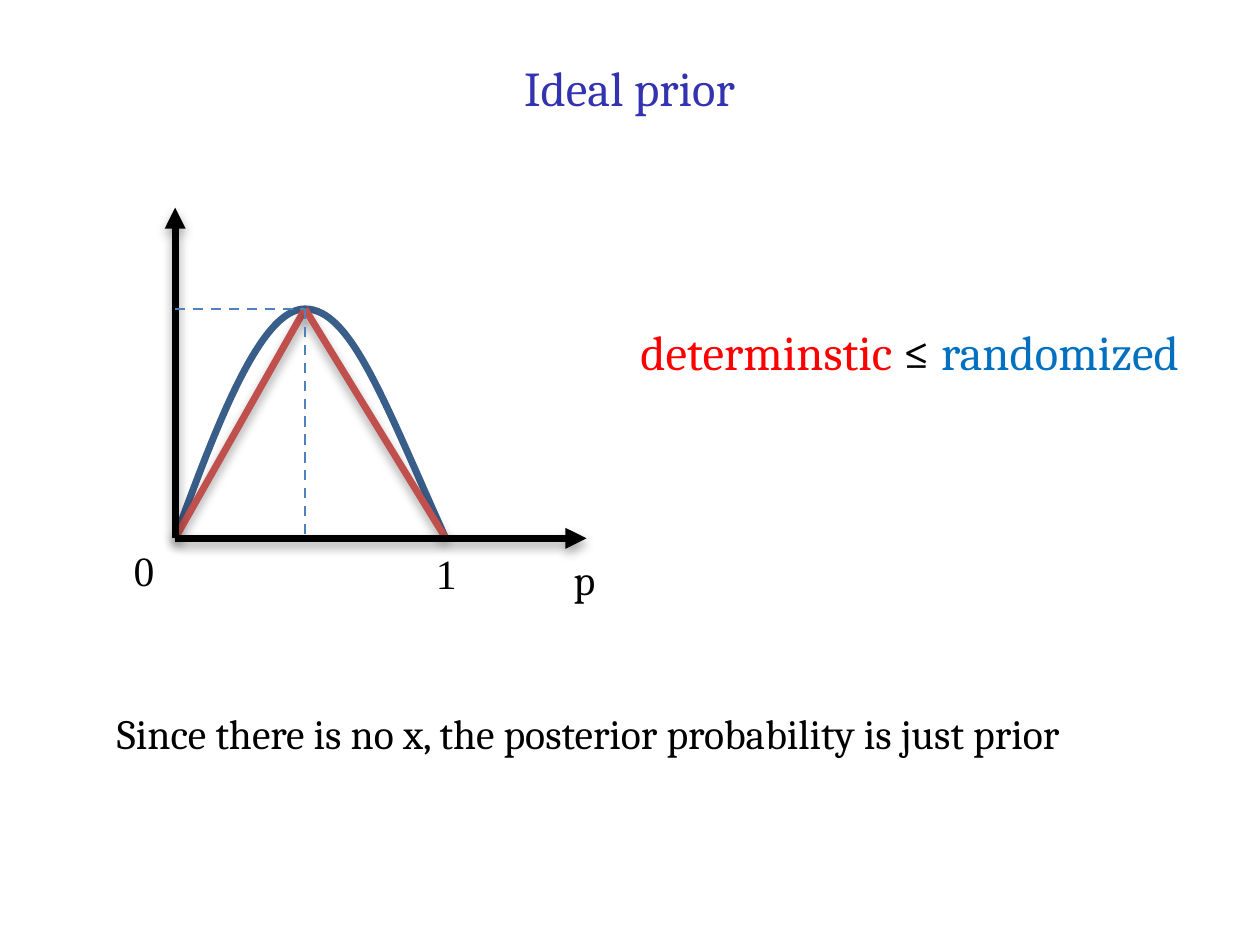
from lxml.etree import SubElement
from pptx import Presentation
from pptx.dml.color import RGBColor
from pptx.enum.dml import MSO_LINE
from pptx.enum.shapes import MSO_CONNECTOR
from pptx.enum.text import PP_ALIGN
from pptx.oxml.ns import qn
from pptx.util import Cm, Pt

BLACK = RGBColor(0x00, 0x00, 0x00)
INDIGO = RGBColor(0x33, 0x33, 0xB2)
RED = RGBColor(0xFF, 0x00, 0x00)
BLUE = RGBColor(0x00, 0x70, 0xC0)
CURVE_BLUE = RGBColor(0x39, 0x5E, 0x89)
CHORD_RED = RGBColor(0xC0, 0x50, 0x4D)
GUIDE_BLUE = RGBColor(0x4F, 0x81, 0xBD)

SLIDE_WIDTH, SLIDE_HEIGHT = Pt(363), Pt(272.5)
SERIF, NUMERAL = "Cambria", "Times New Roman"
NO_INSET, INSET = (0, 0), (0.25, 0.13)

ZERO_X, PEAK_X, ONE_X, AXIS_END_X = 1.78, 3.1, 4.53, 5.96
AXIS_TOP_Y, PEAK_Y, BASE_Y = 2.11, 3.14, 5.47
ORIGIN, PEAK, ONE = (ZERO_X, BASE_Y), (PEAK_X, PEAK_Y), (ONE_X, BASE_Y)

RANDOMIZED_CURVE = [
    ORIGIN,
    (2.21, 4.3), (2.65, PEAK_Y), PEAK,
    (3.56, PEAK_Y), (3.89, 4.04), ONE,
]

LINES = [
    (PEAK, ORIGIN, CHORD_RED, "chord"),
    (PEAK, ONE, CHORD_RED, "chord"),
    (ORIGIN, (ZERO_X, AXIS_TOP_Y), BLACK, "axis"),
    (ORIGIN, (AXIS_END_X, BASE_Y), BLACK, "axis"),
    ((ZERO_X, PEAK_Y), PEAK, GUIDE_BLUE, "guide"),
    (PEAK, (PEAK_X, BASE_Y), GUIDE_BLUE, "guide"),
]

TEXTS = [
    ((0, 0.59, 12.8, 0.6), NO_INSET, SERIF, 14, PP_ALIGN.CENTER,
     [("Ideal prior", INDIGO)]),
    ((1.19, 7.19, 11.13, 0.51), NO_INSET, SERIF, 12, PP_ALIGN.LEFT,
     [("Since there is no x, the posterior probability is just prior", BLACK)]),
    ((5.58, 5.5, 0.76, 0.77), INSET, SERIF, 12, PP_ALIGN.LEFT, [("p", BLACK)]),
    ((6.26, 3.14, 6.5, 0.86), INSET, SERIF, 14, PP_ALIGN.LEFT,
     [("determinstic", RED), (" ≤ ", BLACK), ("randomized", BLUE)]),
    ((1.11, 5.41, 0.74, 0.77), INSET, NUMERAL, 12, PP_ALIGN.LEFT, [("0", BLACK)]),
    ((4.18, 5.44, 0.74, 0.77), INSET, NUMERAL, 12, PP_ALIGN.LEFT, [("1", BLACK)]),
]


def add_curve(shapes, points, color):
    start, *rest = [(Cm(x), Cm(y)) for x, y in points]
    builder = shapes.build_freeform(*start)
    builder.add_line_segments(rest, close=False)
    curve = builder.convert_to_shape()
    curve.shadow.inherit = False
    curve.fill.background()
    curve.line.color.rgb = color
    curve.line.width = Pt(2)
    outline = next(curve._element.iter(qn("a:path")))
    segments = outline.findall(qn("a:lnTo"))
    for first in range(0, len(segments), 3):
        bezier = SubElement(outline, qn("a:cubicBezTo"))
        for segment in segments[first:first + 3]:
            bezier.append(segment[0])
            outline.remove(segment)


def add_line(shapes, start, end, color, role):
    line = shapes.add_connector(
        MSO_CONNECTOR.STRAIGHT, *(Cm(value) for value in start + end))
    line.line.color.rgb = color
    line.line.width = Pt(0.75 if role == "guide" else 2)
    properties = line._element.spPr
    if role == "guide":
        line.line.dash_style = MSO_LINE.DASH
    if role == "axis":
        SubElement(properties.find(qn("a:ln")), qn("a:tailEnd"), type="triangle")
    effects = SubElement(properties, qn("a:effectLst"))
    if role != "guide":
        shadow = SubElement(
            effects, qn("a:outerShdw"), blurRad=str(Pt(3.1)), dist=str(Pt(1.6)),
            dir="5400000", rotWithShape="0")
        tint = SubElement(shadow, qn("a:srgbClr"), val=str(BLACK))
        SubElement(tint, qn("a:alpha"), val="37000")


def add_text(shapes, place, inset, font, size, alignment, runs):
    frame = shapes.add_textbox(*map(Cm, place)).text_frame
    frame.word_wrap = True
    frame.margin_left = frame.margin_right = Cm(inset[0])
    frame.margin_top = frame.margin_bottom = Cm(inset[1])
    paragraph = frame.paragraphs[0]
    paragraph.alignment = alignment
    paragraph.font.name = font
    paragraph.font.size = Pt(size)
    for words, color in runs:
        run = paragraph.add_run()
        run.text = words
        run.font.color.rgb = color


def main():
    deck = Presentation()
    deck.slide_width, deck.slide_height = SLIDE_WIDTH, SLIDE_HEIGHT
    shapes = deck.slides.add_slide(deck.slide_layouts[6]).shapes
    add_curve(shapes, RANDOMIZED_CURVE, CURVE_BLUE)
    for line in LINES:
        add_line(shapes, *line)
    for text in TEXTS:
        add_text(shapes, *text)
    deck.save("out.pptx")


if __name__ == "__main__":
    main()
